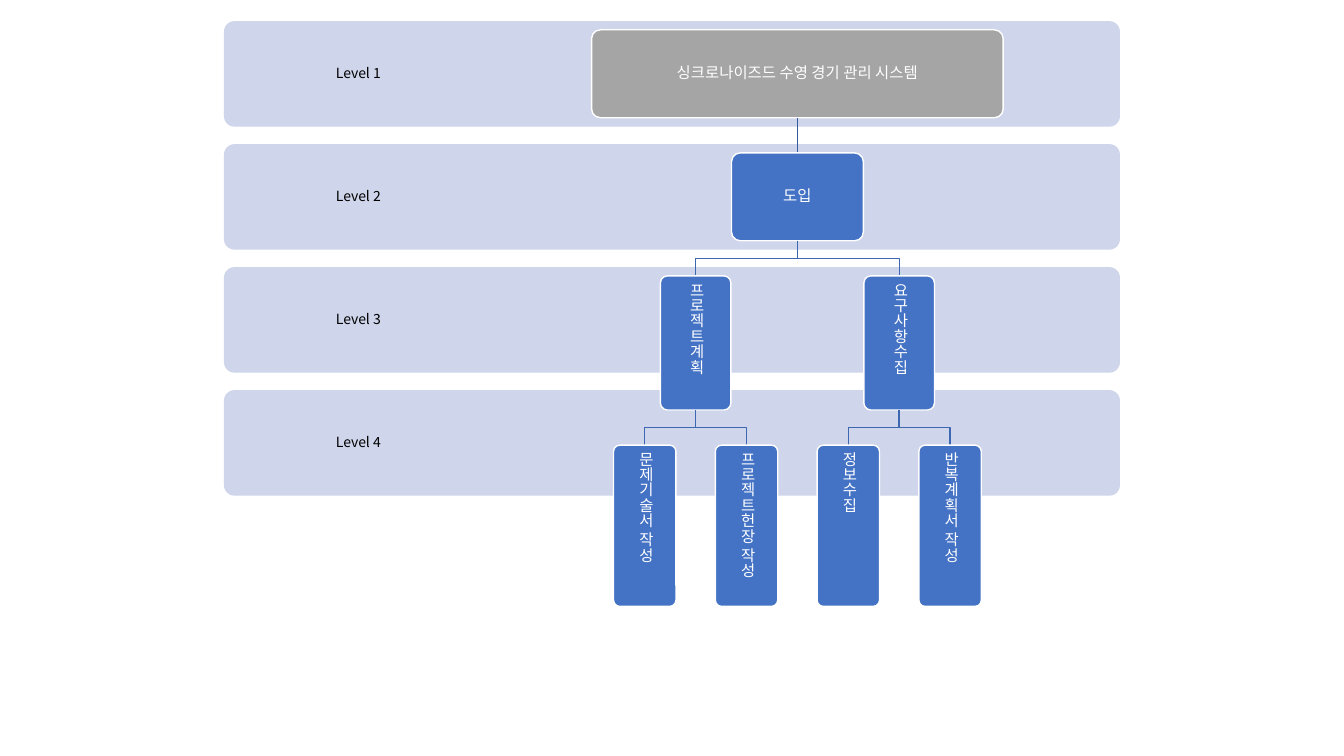
import pptx
import pptx.util
import pptx.dml.color
import pptx.enum.shapes
import pptx.enum.text
import lxml.etree

Pt = pptx.util.Pt
COLORS = {
    "band": "CFD5EA", "root": "A5A5A5", "node": "4472C4",
    "trunk": "365B9D", "branch": "3E67B2", "white": "FFFFFF", "black": "000000",
}
FONT = "Noto Sans CJK KR"


def rgb(name):
    return pptx.dml.color.RGBColor.from_string(COLORS[name])


def add_box(x, y, w, h, fill, text, size, color, inset):
    sp = slide.shapes.add_shape(
        pptx.enum.shapes.MSO_SHAPE.ROUNDED_RECTANGLE, Pt(x), Pt(y), Pt(w), Pt(h))
    sp.shadow.inherit = False
    sp.adjustments[0] = 0.1
    sp.fill.solid()
    sp.fill.fore_color.rgb = rgb(fill)
    tf = sp.text_frame
    tf.word_wrap = True
    tf.vertical_anchor = pptx.enum.text.MSO_ANCHOR.MIDDLE
    tf.margin_left = tf.margin_right = tf.margin_top = tf.margin_bottom = Pt(inset)
    p = tf.paragraphs[0]
    p.alignment = pptx.enum.text.PP_ALIGN.CENTER
    p.line_spacing = 0.9
    p.space_after = Pt(size * 0.35)
    r = p.add_run()
    r.text = text
    p.font.size = Pt(size)
    p.font.name = FONT
    p.font.color.rgb = rgb(color)
    ea = lxml.etree.SubElement(p.font._element, pptx.oxml.ns.qn("a:ea"))
    ea.set("typeface", FONT)
    r.font._element.append(ea)
    r.font.size = Pt(size)
    r.font.name = FONT
    r.font.color.rgb = rgb(color)
    return sp


prs = pptx.Presentation()
prs.slide_width, prs.slide_height = Pt(960), Pt(540)
slide = prs.slides.add_slide(prs.slide_layouts[6])

BAND_W = 640
for i in range(4):
    sp = add_box(160, 15.1 + 87.86 * i, BAND_W, 75.4, "band",
                 f"Level {i + 1}", 10, "black", 5.5)
    sp.line.fill.background()
    sp.text_frame.margin_right = Pt(BAND_W * 0.7 + 5.5)

GAP = 25.1
CENTER = 569.6
sizes = [(294, 62.8), (94.2, 62.8), (50.4, 95.8), (44.6, 115.2)]
tops = [21.3]
for w, h in sizes[:-1]:
    tops.append(tops[-1] + h + GAP)

nodes = [
    ("싱크로나이즈드 수영 경기 관리 시스템", 0, 0, 0),
    ("도입", 1, 0, 0),
    ("프로젝트계획", 2, -2, 0),
    ("문제기술서 작성", 3, -3, -2),
    ("프로젝트헌장 작성", 3, -1, -2),
    ("요구사항수집", 2, 2, 0),
    ("정보수집", 3, 1, 2),
    ("반복계획서 작성", 3, 3, 2),
]
for text, level, column, parent in nodes:
    x = CENTER + column * 36.35
    y = tops[level]
    if level == 1:
        line = slide.shapes.add_connector(
            pptx.enum.shapes.MSO_CONNECTOR.STRAIGHT, Pt(x), Pt(y - GAP), Pt(x), Pt(y))
        lxml.etree.SubElement(line._element.spPr, pptx.oxml.ns.qn("a:effectLst"))
        line.line.color.rgb = rgb("trunk")
        line.line.width = Pt(1)
    elif level > 1:
        start = CENTER + parent * 36.35
        path = slide.shapes.build_freeform(Pt(start), Pt(y - GAP))
        path.add_line_segments(
            [(Pt(start), Pt(y - GAP / 2)), (Pt(x), Pt(y - GAP / 2)), (Pt(x), Pt(y))],
            close=False)
        line = path.convert_to_shape()
        line.shadow.inherit = False
        line.fill.background()
        line.line.color.rgb = rgb("branch")
        line.line.width = Pt(1)
    w, h = sizes[level]
    sp = add_box(x - w / 2, y, w, h, "node" if level else "root",
                 text, 11, "white", 3.3)
    sp.line.color.rgb = rgb("white")
    sp.line.width = Pt(1)
    if level > 1:
        sp.text_frame._txBody.bodyPr.set("vert", "eaVert")

prs.save("out.pptx")
